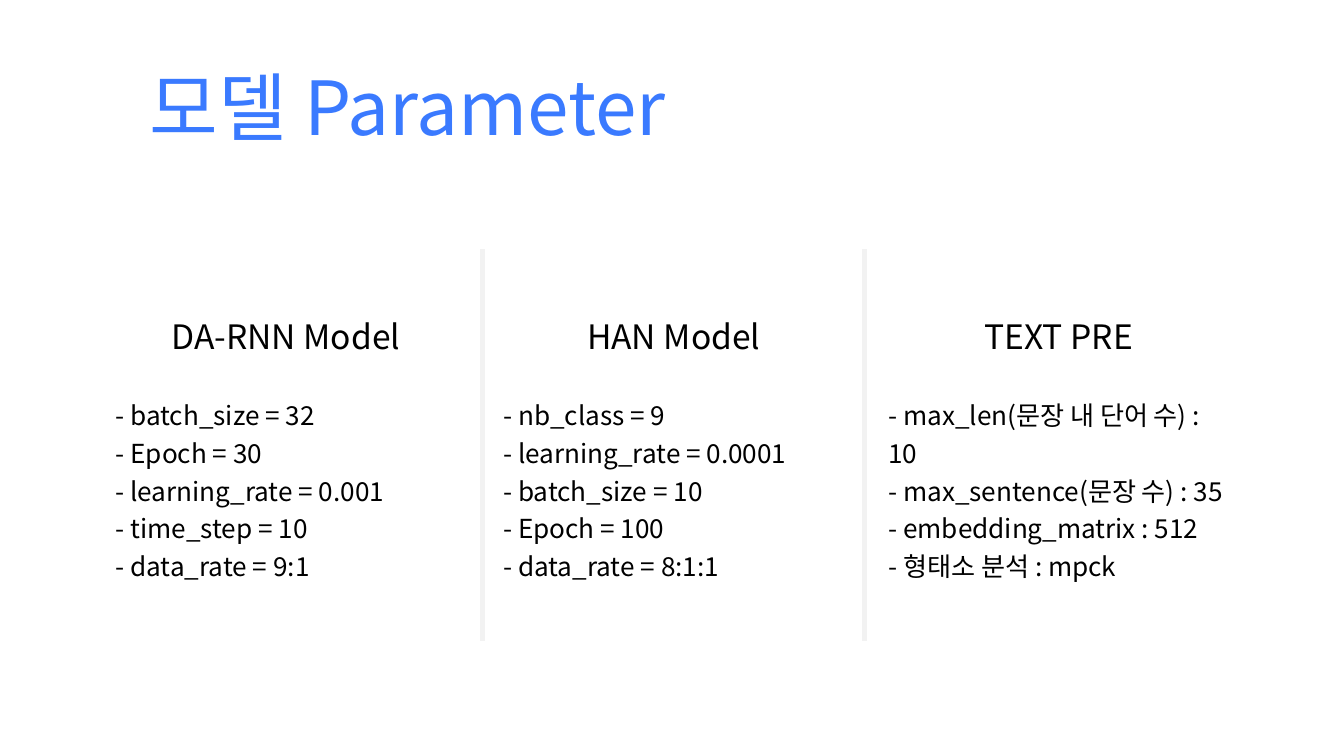
"""Build a slide listing model parameters in three columns."""
from dataclasses import dataclass

from lxml import etree
from pptx import Presentation
from pptx.dml.color import RGBColor
from pptx.enum import shapes, text
from pptx.oxml import ns
from pptx.util import Inches, Pt


@dataclass
class Theme:
    font: str = "Noto Sans CJK KR"
    blue: str = "3A7AFF"
    black: str = "000000"
    gray: str = "F2F2F2"
    title: int = 80
    head: int = 36
    item: int = 28
    rule: int = 5


theme = Theme()
columns = [
    (1.62, "DA-RNN Model", [
        "batch_size = 32", "Epoch = 30", "learning_rate = 0.001",
        "time_step = 10", "data_rate = 9:1"]),
    (7.39, "HAN Model", [
        "nb_class = 9", "learning_rate = 0.0001", "batch_size = 10",
        "Epoch = 100", "data_rate = 8:1:1"]),
    (13.12, "TEXT PRE", [
        "max_len(문장 내 단어 수) : 10", "max_sentence(문장 수) : 35",
        "embedding_matrix : 512", "형태소 분석 : mpck"]),
]


def place(shape, left, top, width, height):
    shape.left, shape.top = Inches(left), Inches(top)
    shape.width, shape.height = Inches(width), Inches(height)
    frame = shape.text_frame
    frame.word_wrap = True
    frame.auto_size = text.MSO_AUTO_SIZE.NONE
    frame.vertical_anchor = text.MSO_ANCHOR.TOP
    return frame


def write(para, words, size, color, align, spacing, before=0):
    props = para._p.get_or_add_pPr()
    props.set("marL", "0")
    props.set("indent", "0")
    etree.SubElement(props, ns.qn("a:buNone"))
    para.alignment = align
    para.line_spacing = spacing
    para.space_before = Pt(before)
    para.space_after = Pt(0)
    run = para.add_run()
    run.text = words
    font = run.font
    font.name = theme.font
    font.size = Pt(size)
    font.bold = False
    font.color.rgb = RGBColor.from_string(color)
    east = etree.SubElement(run._r.get_or_add_rPr(), ns.qn("a:ea"))
    east.set("typeface", theme.font)


deck = Presentation()
deck.slide_width, deck.slide_height = Inches(20), Inches(11.25)
slide = deck.slides.add_slide(deck.slide_layouts[4])
title, *bodies = [
    holder for holder in slide.placeholders
    if holder.placeholder_format.idx < 5]

frame = place(title, 2.13, 0.86, 10.78, 1.62)
write(frame.paragraphs[0], "모델 Parameter", theme.title, theme.blue,
      text.PP_ALIGN.JUSTIFY, 1.0)

for body, (left, head, items) in zip(bodies, columns):
    frame = place(body, left, 4.53, 5.27, 1.39 + 0.56 * len(items))
    write(frame.paragraphs[0], head, theme.head, theme.black,
          text.PP_ALIGN.CENTER, 1.2)
    for order, item in enumerate(items):
        write(frame.add_paragraph(), f"- {item}", theme.item, theme.black,
              text.PP_ALIGN.LEFT, 1.2, 0 if order else 40)

for holder in list(slide.placeholders):
    if not holder.text_frame.text:
        holder.element.getparent().remove(holder.element)

for x in (7.18, 12.86):
    line = slide.shapes.add_connector(
        shapes.MSO_CONNECTOR.STRAIGHT,
        Inches(x), Inches(3.71), Inches(x), Inches(9.54))
    line.line.color.rgb = RGBColor.from_string(theme.gray)
    line.line.width = Pt(theme.rule)
    etree.SubElement(line.element.spPr, ns.qn("a:effectLst"))

deck.save("out.pptx")
